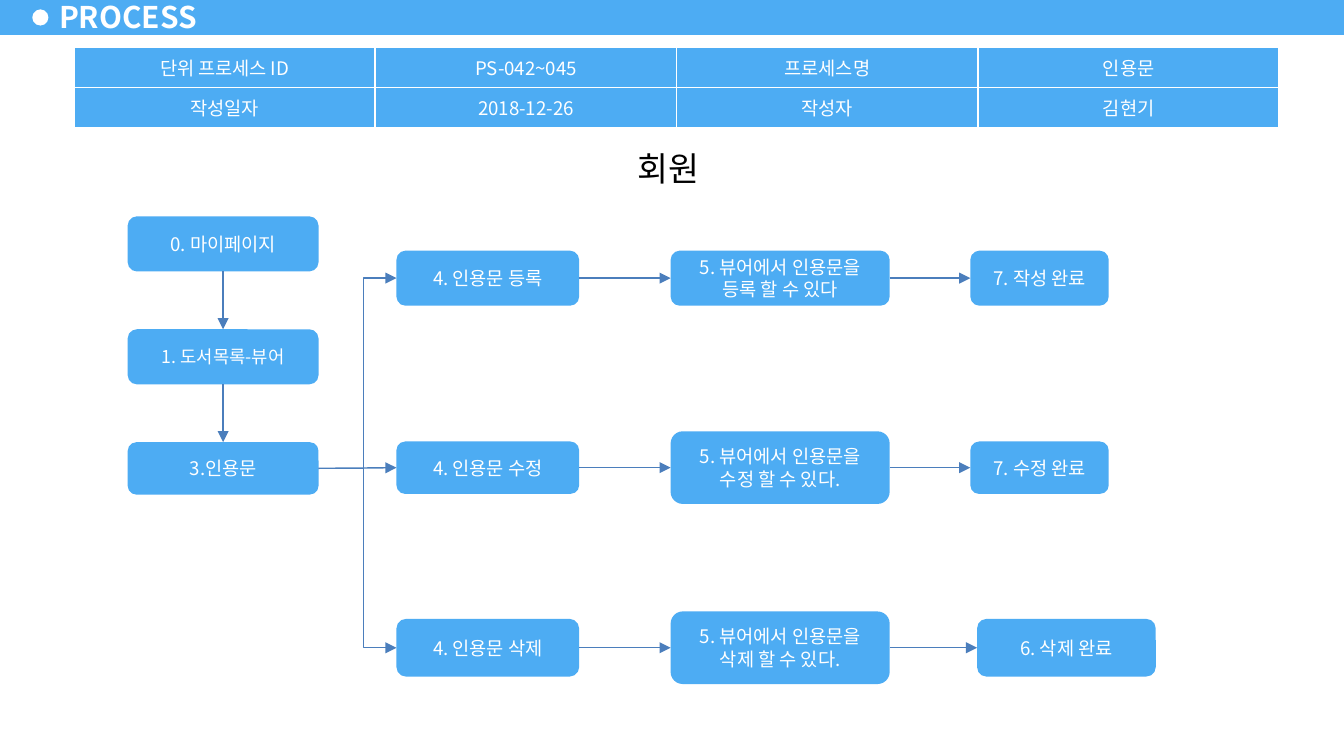
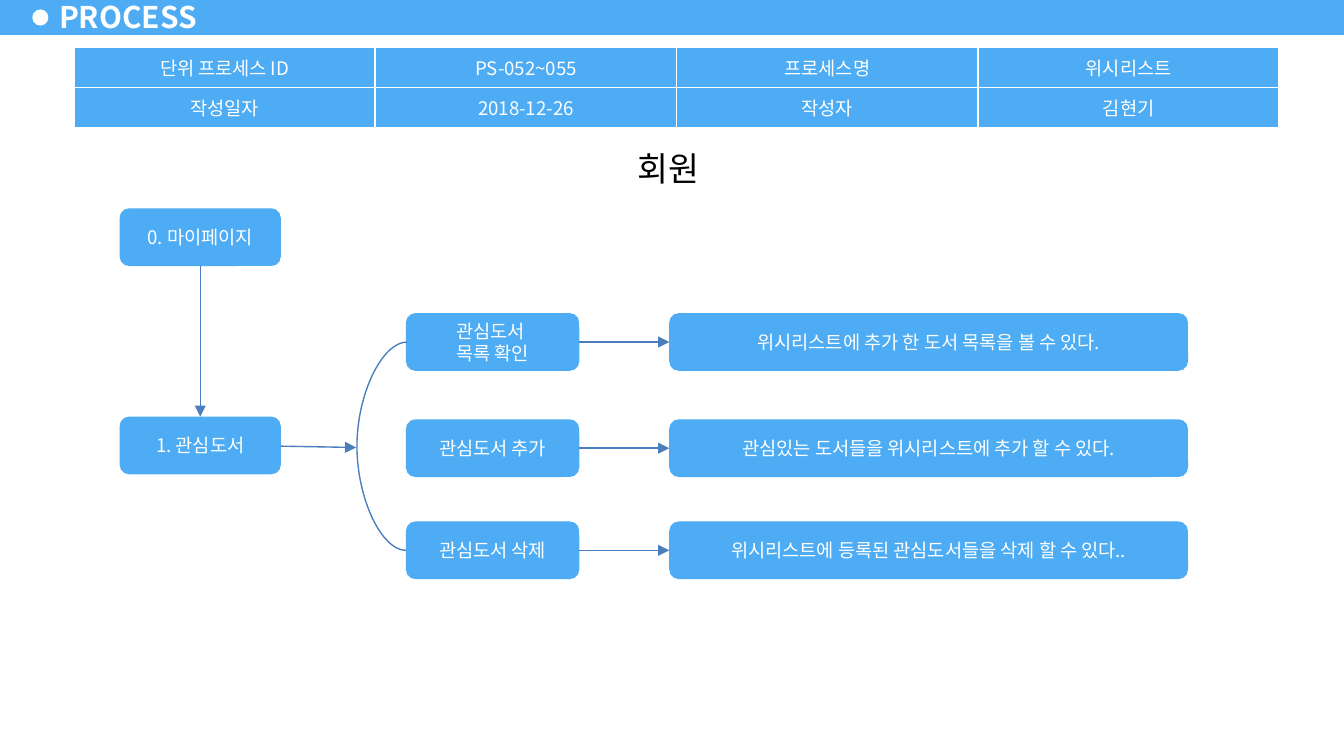
from dataclasses import dataclass
from itertools import pairwise

from lxml.etree import SubElement
from pptx import Presentation
from pptx.dml.color import RGBColor as Color
from pptx.enum.shapes import MSO_CONNECTOR as Wire, MSO_SHAPE as Form
from pptx.enum.text import MSO_ANCHOR as Anchor, MSO_AUTO_SIZE as Auto, PP_ALIGN as Align
from pptx.oxml.ns import qn
from pptx.util import Inches, Pt


@dataclass(frozen=True)
class Theme:
    font: str = "Noto Sans CJK KR"
    blue: Color = Color(0x4D, 0xAC, 0xF3)
    line: Color = Color(0x4B, 0x7E, 0xBC)
    white: Color = Color(255, 255, 255)
    black: Color = Color(0, 0, 0)
    title: float = 16
    role: float = 18
    text: float = 10
    small: float = 9.5
    stroke: float = 0.75


LOOK = Theme()
TOP, LEFT, FOOT, RIGHT = range(4)


def style(frame, size, color, align=Align.CENTER, bold=False):
    for para in frame.paragraphs:
        para.alignment = align
        font = para.font
        font.name, font.size, font.bold = LOOK.font, Pt(size), bold
        font.color.rgb = color
        props = para._p.pPr.find(qn("a:defRPr"))
        SubElement(props, qn("a:ea"), typeface=LOOK.font)


def block(slide, form, box, fill):
    shape = slide.shapes.add_shape(form, *map(Inches, box))
    shape.shadow.inherit = False
    shape.fill.solid()
    shape.fill.fore_color.rgb = fill
    shape.line.fill.background()
    return shape


def node(slide, box, text, size=LOOK.text):
    shape = block(slide, Form.ROUNDED_RECTANGLE, box, LOOK.blue)
    frame = shape.text_frame
    frame.word_wrap = True
    frame.vertical_anchor = Anchor.MIDDLE
    frame.text = text
    style(frame, size, LOOK.white)
    return shape


def wire(slide, kind, ends=(0, 0, 0, 0), bend=None, arrow=True):
    link = slide.shapes.add_connector(kind, *map(Inches, ends))
    link.line.color.rgb = LOOK.line
    link.line.width = Pt(LOOK.stroke)
    props = link.element.spPr
    if arrow:
        SubElement(props.find(qn("a:ln")), qn("a:tailEnd"), type="triangle")
    SubElement(props, qn("a:effectLst"))
    if bend is not None:
        guides = props.find(qn("a:prstGeom")).get_or_add_avLst()
        SubElement(guides, qn("a:gd"), name="adj1", fmla=f"val {round(bend * 100000)}")
    return link


def join(slide, start, end, out=RIGHT, into=LEFT, kind=Wire.STRAIGHT, bend=None):
    link = wire(slide, kind, bend=bend)
    link.begin_connect(start, out)
    link.end_connect(end, into)


def band(slide, box):
    left, top, width, height = box
    bar = block(slide, Form.RECTANGLE, box, LOOK.blue)
    dot = block(slide, Form.OVAL, (left + 0.24, top + 0.09, 0.12, 0.12), LOOK.white)
    tree = slide.slide_layout.element.cSld.spTree
    for shape in (bar, dot):
        tree.append(shape.element)


def head(slide, box):
    title = slide.shapes.title
    title.left, title.top, title.width, title.height = map(Inches, box)
    frame = title.text_frame
    frame.text = "PROCESS"
    frame.auto_size = Auto.NONE
    frame.vertical_anchor = Anchor.MIDDLE
    frame.margin_left = frame.margin_right = Inches(0.09)
    frame.margin_top = frame.margin_bottom = Inches(0.04)
    style(frame, LOOK.title, LOOK.white, Align.LEFT, True)


def grid(slide, box, rows):
    table = slide.shapes.add_table(len(rows), len(rows[0]), *map(Inches, box)).table
    table.first_row = table.horz_banding = False
    for r, row in enumerate(rows):
        for c, text in enumerate(row):
            cell = table.cell(r, c)
            cell.text = text
            cell.vertical_anchor = Anchor.MIDDLE
            cell.fill.solid()
            cell.fill.fore_color.rgb = LOOK.blue
            style(cell.text_frame, LOOK.text, LOOK.white)


def role(slide, box):
    frame = block(slide, Form.RECTANGLE, box, LOOK.white).text_frame
    frame.word_wrap = True
    frame.vertical_anchor = Anchor.TOP
    frame.text = "회원"
    style(frame, LOOK.role, LOOK.black)


def page(deck, code, name):
    slide = deck.slides.add_slide(deck.slide_layouts[5])
    head(slide, (0.35, -0.04, 1.22, 0.32))
    grid(slide, (0.55, 0.35, 8.97, 0.56), [
        ("단위 프로세스 ID", code, "프로세스명", name),
        ("작성일자", "2018-12-26", "작성자", "김현기"),
    ])
    role(slide, (3.94, 1.05, 2.07, 0.41))
    return slide


def quote(slide, box):
    left, top = box
    steps = [("0. 마이페이지", 0.41, LOOK.text), ("1. 도서목록-뷰어", 0.41, LOOK.small),
             ("3.인용문", 0.39, LOOK.text)]
    stack = [node(slide, (left, top + 0.84 * i, 1.42, high), text, size)
             for i, (text, high, size) in enumerate(steps)]
    for start, end in pairwise(stack):
        join(slide, start, end, FOOT, TOP)

    lanes = [
        (0.46, 0.41, 0.41, "등록", "등록 할 수 있다", "7. 작성 완료", 6.27, 1.03),
        (1.87, 0.39, 0.54, "수정", "수정 할 수 있다.", "7. 수정 완료", 6.27, 1.03),
        (3.21, 0.43, 0.54, "삭제", "삭제 할 수 있다.", "6. 삭제 완료", 6.32, 1.33),
    ]
    for mid, high, tall, act, note, done, last, wide in lanes:
        parts = [(2, 1.36, high, f"4. 인용문 {act}"),
                 (4.04, 1.63, tall, f"5. 뷰어에서 인용문을 {note}"),
                 (last, wide, high, done)]
        chain = [node(slide, (left + x, top + mid - h / 2, w, h), text)
                 for x, w, h, text in parts]
        if act == "수정":
            join(slide, stack[-1], chain[0])
        else:
            join(slide, stack[-1], chain[0], kind=Wire.ELBOW, bend=0.58)
        for start, end in pairwise(chain):
            join(slide, start, end)


def wish(slide, box):
    left, top = box
    high = 0.43
    home = node(slide, (left, top, 1.2, high), "0. 마이페이지")
    books = node(slide, (left, top + 1.55, 1.2, high), "1. 관심도서")
    join(slide, home, books, FOOT, TOP)
    lanes = [
        (0.78, "관심도서 \n목록 확인", "위시리스트에 추가 한 도서 목록을 볼 수 있다."),
        (1.57, "관심도서 추가", "관심있는 도서들을 위시리스트에 추가 할 수 있다."),
        (2.33, "관심도서 삭제", "위시리스트에 등록된 관심도서들을 삭제 할 수 있다.."),
    ]
    for y, act, note in lanes:
        join(slide, node(slide, (left + 2.13, top + y, 1.29, high), act),
             node(slide, (left + 4.09, top + y, 3.86, high), note))
    first, last = (top + lanes[i][0] + high / 2 for i in (0, -1))
    wire(slide, Wire.CURVE, (left + 2.14, first, left + 2.13, last), 38, False)
    wire(slide, Wire.STRAIGHT, (left + 1.2, top + 1.77, left + 1.76, top + 1.78))


def main():
    deck = Presentation()
    deck.slide_width = Inches(10)
    deck.slide_height = deck.slide_width * 9 // 16
    slide = page(deck, "PS-042~045", "인용문")
    band(slide, (0, -0.02, 10, 0.28))
    quote(slide, (0.95, 1.61))
    wish(page(deck, "PS-052~055", "위시리스트"), (0.89, 1.55))
    deck.save("out.pptx")


if __name__ == "__main__":
    main()
